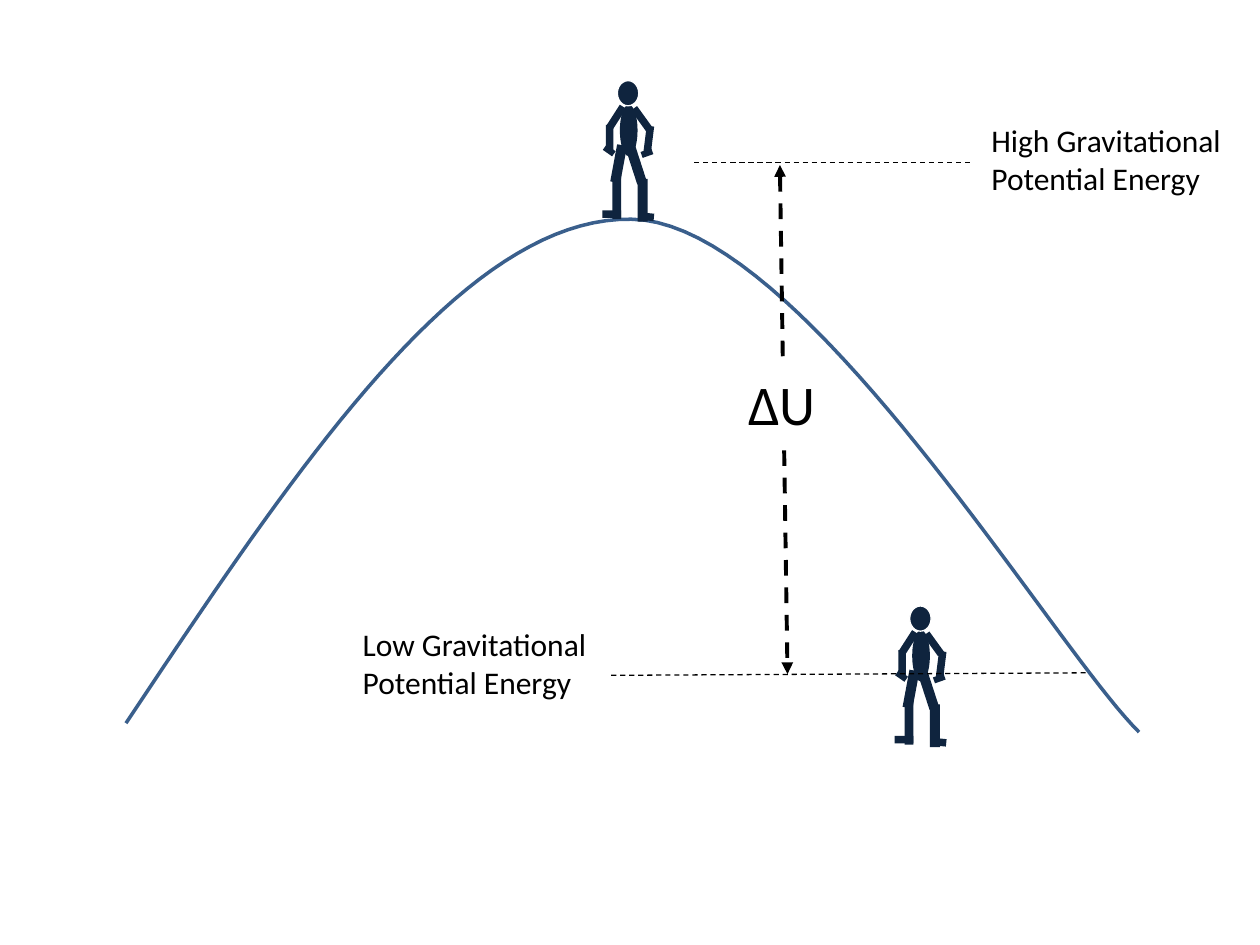
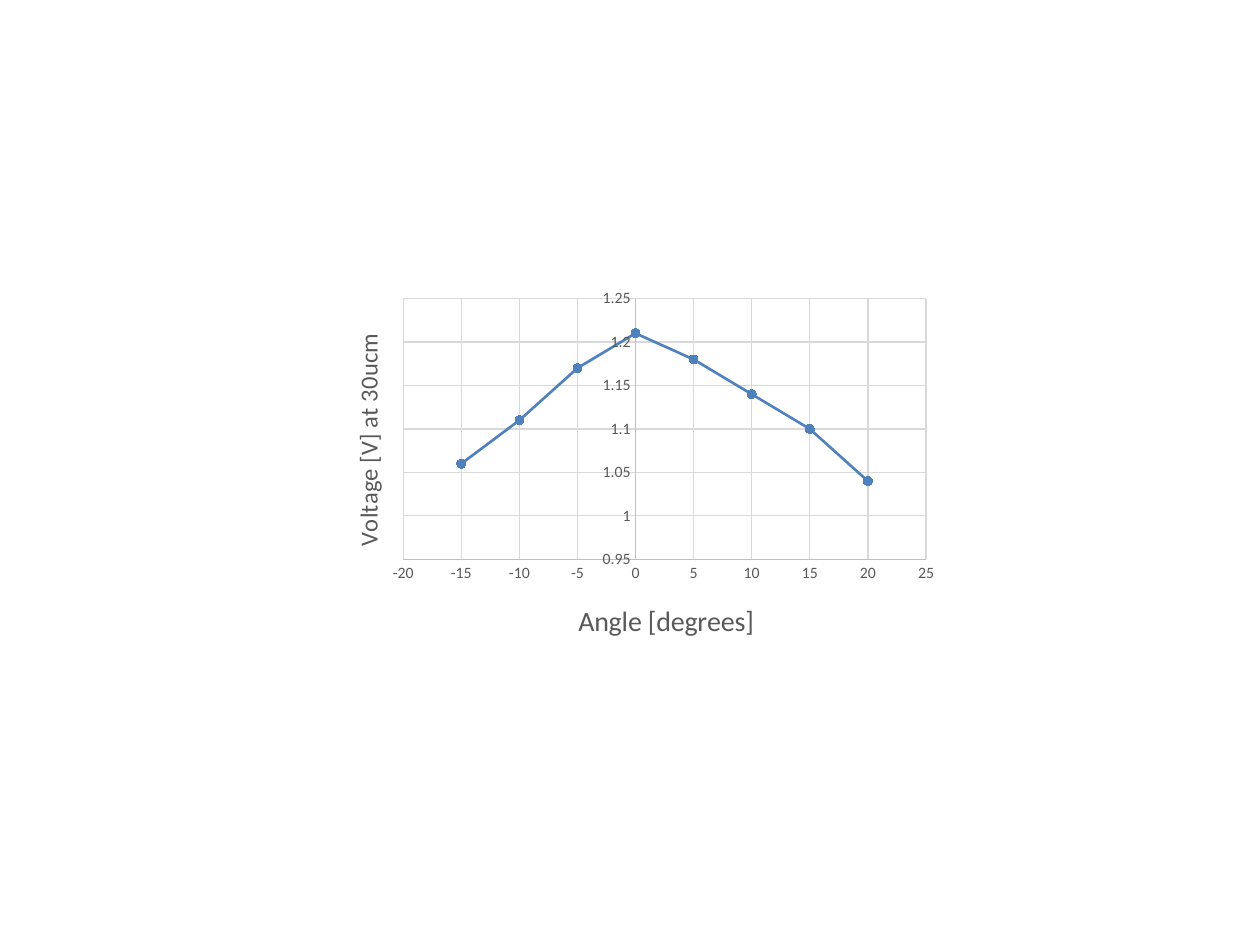
from lxml import etree
from pptx import Presentation
from pptx import util as u
from pptx.chart.data import XyChartData
from pptx.dml.color import RGBColor
from pptx.enum import chart as charts, dml, shapes, text
from pptx.oxml.ns import qn

FONT = "Calibri"
COLORS = {
    "black": "000000",
    "white": "FFFFFF",
    "figure": "0F243E",
    "hill": "3A5F8C",
    "series": "4F81BD",
    "axis": "BFBFBF",
    "grid": "D9D9D9",
    "chart text": "595959",
}

OVAL = shapes.MSO_SHAPE.OVAL
RECT = shapes.MSO_SHAPE.RECTANGLE
# Shape, left, top, width, height (from the figure's top left corner), rotation
TORSO = (OVAL, 0.14, 0.19, 0.14, 0.41, 0)
HEAD = (OVAL, 0.12, 0, 0.17, 0.2, 0)
LIMBS = [
    (RECT, 0.34, 0.36, 0.06, 0.21, 7.1),
    (RECT, 0, 1.03, 0.15, 0.06, 0),
    (RECT, 0.28, 0.2, 0.06, 0.2, 144.2),
    (RECT, 0.23, 0.52, 0.08, 0.3, 342),
    (RECT, 0.28, 0.78, 0.08, 0.34, 0),
    (RECT, 0.29, 1.05, 0.12, 0.06, 5.6),
    (RECT, 0.09, 0.51, 0.08, 0.3, 10.5),
    (RECT, 0.08, 0.75, 0.07, 0.35, 0),
    (RECT, 0.33, 0.53, 0.05, 0.09, 70.5),
    (RECT, 0.03, 0.35, 0.06, 0.21, 0),
    (RECT, 0.08, 0.19, 0.06, 0.2, 212.7),
    (RECT, 0.03, 0.51, 0.05, 0.09, 125),
]

HILL_CURVES = [
    [(1, 5.74), (2.34, 3.73), (3.67, 1.72), (5.01, 1.74)],
    [(5.01, 1.74), (6.36, 1.75), (8.36, 5.14), (9.04, 5.81)],
]

ANGLES = range(-15, 21, 5)
VOLTAGES = [1.06, 1.11, 1.17, 1.21, 1.18, 1.14, 1.1, 1.04]


def rgb(name):
    return RGBColor.from_string(COLORS[name])


def style_line(line, color, width):
    line.color.rgb = rgb(color)
    line.width = u.Pt(width)


def style_font(font, size, color):
    font.name = FONT
    font.size = u.Pt(size)
    font.bold = False
    font.color.rgb = rgb(color)


def fill_solid(item, color):
    item.fill.solid()
    item.fill.fore_color.rgb = rgb(color)


def add_filled(parent, kind, left, top, width, height, color):
    shape = parent.shapes.add_shape(
        kind, u.Inches(left), u.Inches(top), u.Inches(width), u.Inches(height))
    shape.shadow.inherit = False
    fill_solid(shape, color)
    shape.line.fill.background()
    return shape


def add_figure(page, left, top):
    group = page.shapes.add_group_shape()
    for part in [TORSO, *LIMBS, HEAD]:
        kind, dx, dy, width, height, angle = part
        shape = add_filled(group, kind, left + dx, top + dy, width, height, "figure")
        shape.rotation = angle
        if part is HEAD:
            style_line(shape.line, "white", 0.75)


def bezier_point(curve, t):
    weights = ((1 - t) ** 3, 3 * t * (1 - t) ** 2, 3 * t ** 2 * (1 - t), t ** 3)
    return tuple(sum(w * point[axis] for w, point in zip(weights, curve))
                 for axis in (0, 1))


def add_hill(page, steps=40):
    points = [bezier_point(curve, step / steps)
              for curve in HILL_CURVES for step in range(1, steps + 1)]
    start_x, start_y = HILL_CURVES[0][0]
    builder = page.shapes.build_freeform(
        u.Inches(start_x), u.Inches(start_y))
    builder.add_line_segments(
        [(u.Inches(x), u.Inches(y)) for x, y in points], close=False)
    hill = builder.convert_to_shape()
    hill.shadow.inherit = False
    hill.fill.background()
    style_line(hill.line, "hill", 2)


def add_dashed_line(page, start, end, width=0.75, arrows=False):
    line = page.shapes.add_connector(
        shapes.MSO_CONNECTOR.STRAIGHT, *map(u.Inches, start + end))
    style_line(line.line, "black", width)
    line.line.dash_style = dml.MSO_LINE.DASH
    if arrows:
        outline = line.line._get_or_add_ln()
        for tag in ("a:headEnd", "a:tailEnd"):
            etree.SubElement(outline, qn(tag), type="triangle")
    etree.SubElement(line._element.spPr, qn("a:effectLst"))


def write_text(box, words, size, wrap):
    frame = box.text_frame
    frame.word_wrap = wrap
    frame.vertical_anchor = text.MSO_ANCHOR.TOP
    para = frame.paragraphs[0]
    para.alignment = text.PP_ALIGN.LEFT
    span = para.add_run()
    span.text = words
    style_font(span.font, size, "black")


def add_label(page, left, top, width, words):
    box = page.shapes.add_textbox(
        u.Inches(left), u.Inches(top), u.Inches(width), u.Inches(0.71))
    write_text(box, words, 18, True)


def set_layout(element, index, target=None, **fractions):
    """Place a chart part by fractions of the chart's width and height."""
    for old in element.findall(qn("c:layout")):
        element.remove(old)
    layout = etree.Element(qn("c:layout"))
    manual = etree.SubElement(layout, qn("c:manualLayout"))
    if target:
        etree.SubElement(manual, qn("c:layoutTarget"), val=target)
    for side in ("x", "y"):
        etree.SubElement(manual, qn(f"c:{side}Mode"), val="edge")
    for name, value in fractions.items():
        etree.SubElement(manual, qn(f"c:{name}"), val=str(value))
    element.insert(index, layout)


def style_axis(axis, title, title_size, low, high, step, x, y):
    axis.minimum_scale, axis.maximum_scale, axis.major_unit = low, high, step
    axis.major_tick_mark = axis.minor_tick_mark = charts.XL_TICK_MARK.NONE
    axis.has_major_gridlines = True
    style_line(axis.major_gridlines.format.line, "grid", 0.75)
    style_line(axis.format.line, "axis", 0.75)
    labels = axis.tick_labels
    labels.number_format = "General"
    labels.number_format_is_linked = False
    style_font(labels.font, 9, "chart text")
    span = axis.axis_title.text_frame.paragraphs[0].add_run()
    span.text = title
    style_font(span.font, title_size, "chart text")
    set_layout(axis.axis_title._element, 1, x=x, y=y)


def add_voltage_chart(page):
    data = XyChartData()
    points = data.add_series("Series 1")
    for angle, voltage in zip(ANGLES, VOLTAGES):
        points.add_data_point(angle, voltage)
    chart = page.shapes.add_chart(
        charts.XL_CHART_TYPE.XY_SCATTER_SMOOTH, u.Inches(2.5), u.Inches(2.25),
        u.Inches(5), u.Inches(3), data).chart
    chart.has_title = False
    chart.has_legend = False
    style_font(chart.font, 10, "black")
    style_axis(chart.category_axis, "Angle [degrees]", 16, -20, 25, 5, 0.41, 0.83)
    style_axis(chart.value_axis, "Voltage [V] at 30ucm", 14, 0.95, 1.25, 0.05,
               0.05, 0.12)
    set_layout(chart._chartSpace.chart.plotArea, 0, "inner",
               x=0.14, y=0.04, w=0.83, h=0.69)

    plot = chart.plots[0]
    plot.vary_by_categories = False
    series = plot.series[0]
    series.smooth = True
    style_line(series.format.line, "series", 1.5)
    series.marker.style = charts.XL_MARKER_STYLE.CIRCLE
    series.marker.size = 5
    fill_solid(series.marker.format, "series")
    style_line(series.marker.format.line, "series", 0.75)


def add_energy_diagram(page):
    add_figure(page, 7.1, 4.81)
    add_hill(page)
    add_figure(page, 4.78, 0.64)
    add_dashed_line(page, (5.51, 1.29), (7.72, 1.29))
    add_dashed_line(page, (4.85, 5.36), (8.62, 5.34))
    add_dashed_line(page, (6.19, 1.31), (6.25, 5.35), 2.25, arrows=True)
    difference = add_filled(page, RECT, 5.84, 2.88, 0.76, 0.64, "white")
    write_text(difference, "ΔU", 32, False)
    add_label(page, 7.77, 0.91, 2.06, "High Gravitational Potential Energy")
    add_label(page, 2.78, 4.91, 2.11, "Low Gravitational Potential Energy")


def main():
    deck = Presentation()
    deck.slide_width, deck.slide_height = u.Inches(10), u.Inches(7.5)
    for draw in (add_energy_diagram, add_voltage_chart):
        draw(deck.slides.add_slide(deck.slide_layouts[6]))
    deck.save("out.pptx")


if __name__ == "__main__":
    main()
